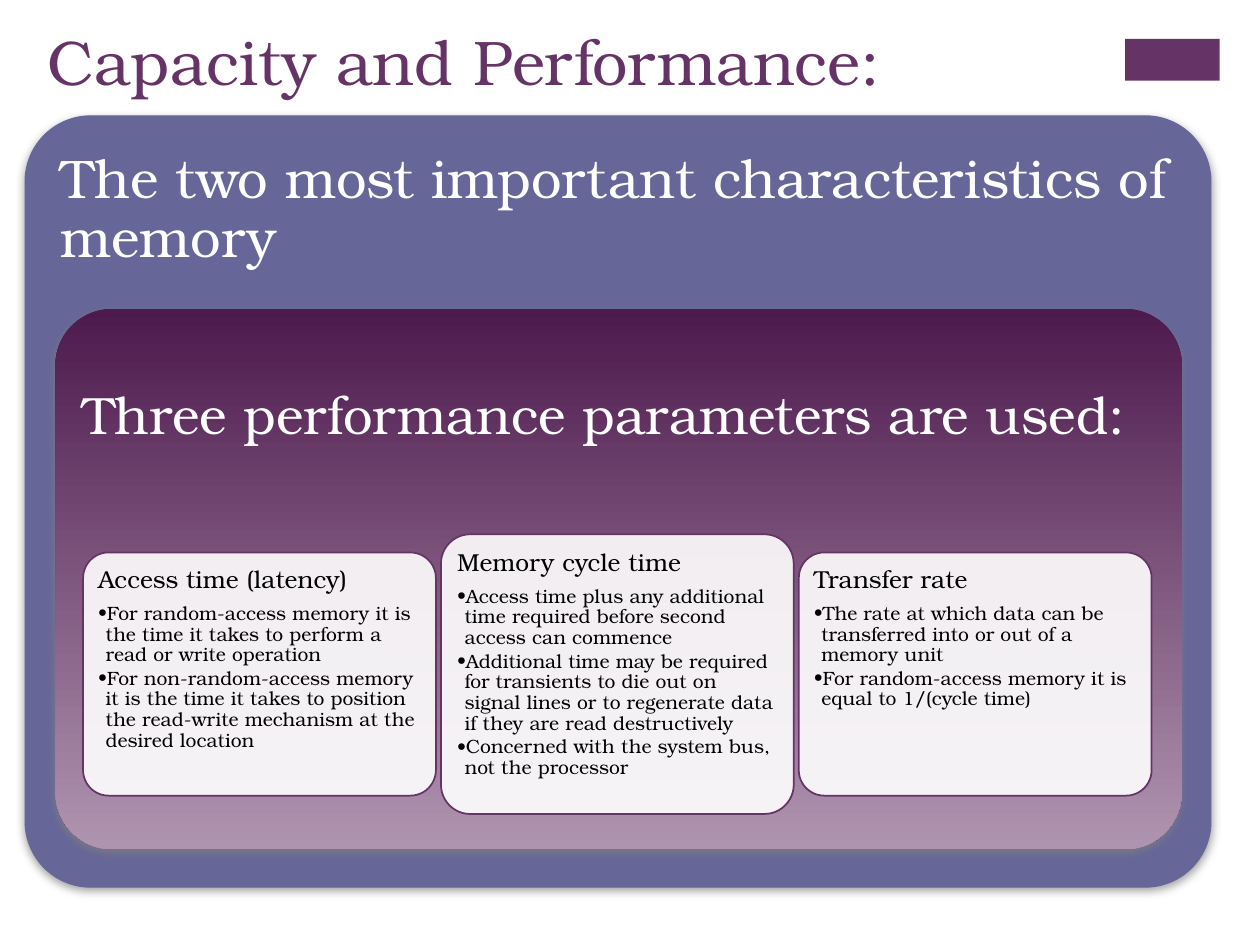
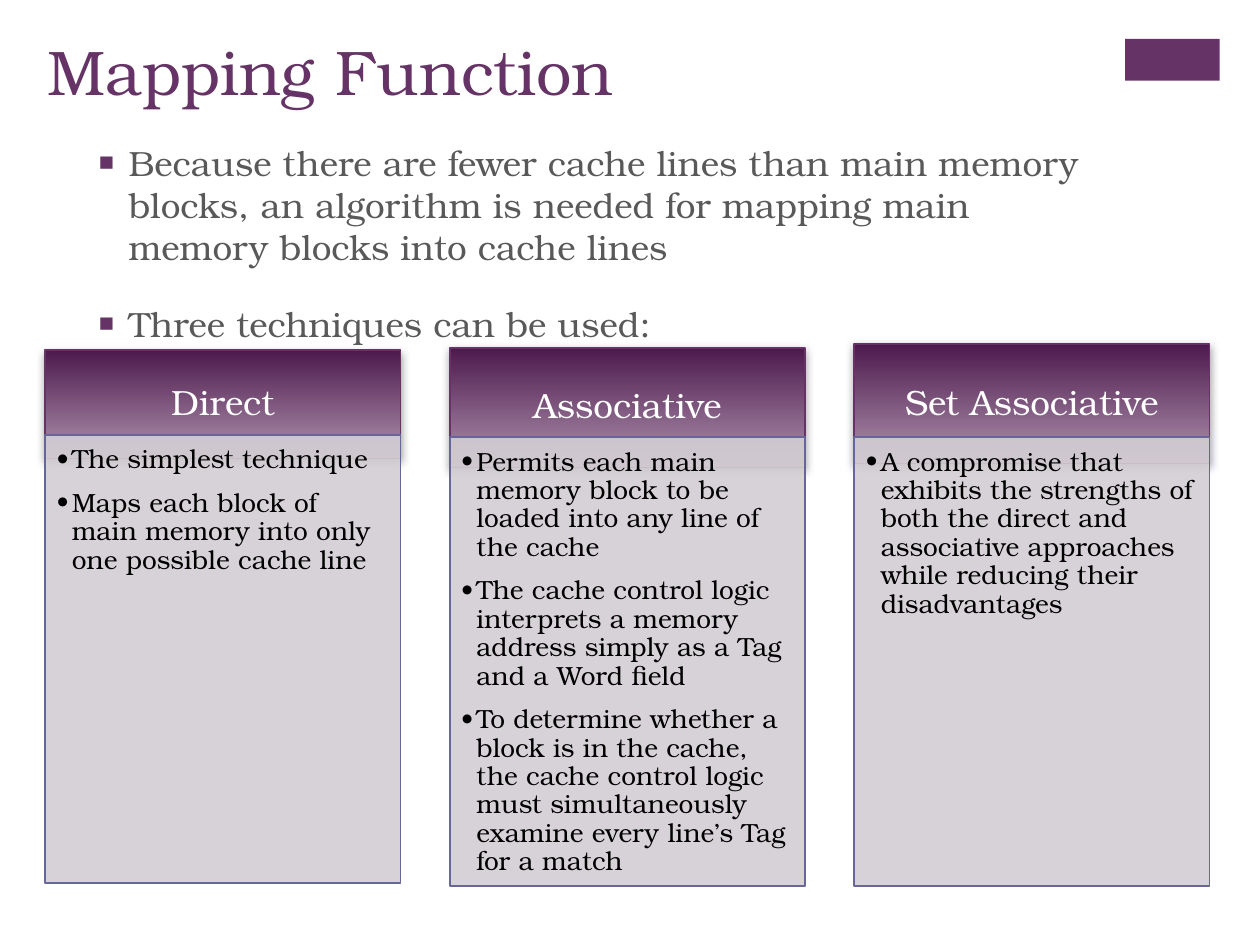
import dataclasses
import pptx
import pptx.dml.color
import pptx.enum.shapes
import pptx.enum.text
import pptx.oxml
import pptx.oxml.ns
import pptx.util

Inches = pptx.util.Inches
Pt = pptx.util.Pt
qn = pptx.oxml.ns.qn
Shape = pptx.enum.shapes.MSO_SHAPE
Anchor = pptx.enum.text.MSO_ANCHOR
Align = pptx.enum.text.PP_ALIGN


@dataclasses.dataclass(frozen=True)
class Theme:
    font: str = "TeX Gyre Bonum"
    plum: str = "663366"
    dark_plum: str = "4D1A4D"
    pale_plum: str = "AF94AF"
    slate: str = "666699"
    panel: str = "D3CED3"
    white: str = "FFFFFF"
    black: str = "000000"
    gray: str = "595959"
    shadow: str = "808080"
    title_size: float = 36
    frame_size: float = 31
    inner_size: float = 30
    large_size: float = 20
    panel_size: float = 15
    heading_size: float = 14
    card_size: float = 11


THEME = Theme()


def color(code):
    return pptx.dml.color.RGBColor.from_string(code)


def drawing_element(tag, **attributes):
    element = pptx.oxml.parse_xml(f"<a:{tag} {pptx.oxml.ns.nsdecls('a')}/>")
    for name, value in attributes.items():
        element.set(name, str(value))
    return element


def write_text(frame, text, *, size, ink, align=Align.LEFT, line=0.9, before=0, after=0,
               bullet=None, indent=0, bullet_ink=None, bullet_percent=100):
    para = frame.paragraphs[0]
    if para.runs:
        para = frame.add_paragraph()
        para.space_before = Pt(before)
    else:
        para.space_before = Pt(0)
    if bullet:
        properties = para._p.get_or_add_pPr()
        properties.set("marL", str(Inches(indent)))
        properties.set("indent", str(-Inches(indent)))
        bullet_color = drawing_element("buClr")
        bullet_color.append(drawing_element("srgbClr", val=bullet_ink or ink))
        properties.append(bullet_color)
        properties.append(drawing_element("buSzPct", val=bullet_percent * 1000))
        properties.append(drawing_element("buFont", typeface=THEME.font))
        properties.append(drawing_element("buChar", char=bullet))
    para.alignment = align
    para.line_spacing = line
    para.space_after = Pt(after)
    span = para.add_run()
    span.text = text
    span.font.name = THEME.font
    span.font.size = Pt(size)
    span.font.color.rgb = color(ink)


class SlideBuilder:
    def __init__(self, deck, theme):
        self.deck = deck
        self.theme = theme
        self.page = None

    def start(self, layout, title, top, height):
        self.page = self.deck.slides.add_slide(self.deck.slide_layouts[layout])
        frame = self.place(self.page.shapes.title, 0.28, top, 8.26, height)
        write_text(frame, title, size=self.theme.title_size, ink=self.theme.plum, line=1.0)
        self.block(8.93, 0.31, 0.75, 0.33, fill=self.theme.plum)

    def place(self, holder, left, top, width, height):
        holder.left, holder.top = Inches(left), Inches(top)
        holder.width, holder.height = Inches(width), Inches(height)
        frame = holder.text_frame
        frame.auto_size = pptx.enum.text.MSO_AUTO_SIZE.NONE
        frame.vertical_anchor = Anchor.TOP
        return frame

    def body(self, items, left, top, width, height):
        frame = self.place(self.page.placeholders[1], left, top, width, height)
        for item in items:
            write_text(frame, item, size=self.theme.large_size, ink=self.theme.gray, line=1.0,
                       before=20, bullet="■", indent=0.25,
                       bullet_ink=self.theme.plum, bullet_percent=75)

    def block(self, left, top, width, height, *, fill=None, corner=None, outline=None,
              outline_width=1, opacity=100, shadow=False, insets=(0, 0, 0, 0),
              anchor=Anchor.TOP):
        kind = Shape.RECTANGLE if corner is None else Shape.ROUNDED_RECTANGLE
        box = self.page.shapes.add_shape(
            kind, Inches(left), Inches(top), Inches(width), Inches(height))
        if corner is not None:
            box.adjustments[0] = corner
        self.paint(box, fill, opacity)
        if outline:
            box.line.color.rgb = color(outline)
            box.line.width = Pt(outline_width)
        else:
            box.line.fill.background()
        box.shadow.inherit = False
        if shadow:
            self.cast_shadow(box)
        frame = box.text_frame
        frame.word_wrap = True
        frame.vertical_anchor = anchor
        (frame.margin_left, frame.margin_top,
         frame.margin_right, frame.margin_bottom) = map(Inches, insets)
        return frame

    def paint(self, box, fill, opacity):
        if fill is None:
            box.fill.gradient()
            box.fill.gradient_angle = 270
            shades = (self.theme.dark_plum, self.theme.pale_plum)
            for stop, shade in zip(box.fill.gradient_stops, shades):
                stop.color.rgb = color(shade)
            return
        box.fill.solid()
        box.fill.fore_color.rgb = color(fill)
        if opacity < 100:
            solid = box._element.spPr.find(qn("a:solidFill"))
            solid[0].append(drawing_element("alpha", val=opacity * 1000))

    def cast_shadow(self, box):
        cast = drawing_element("outerShdw", blurRad=Pt(5), dist=Pt(2), dir=90 * 60000,
                               rotWithShape=0)
        tint = drawing_element("srgbClr", val=self.theme.shadow)
        tint.append(drawing_element("alpha", val=75000))
        cast.append(tint)
        box._element.spPr.find(qn("a:effectLst")).append(cast)

    def card(self, left, middle, width, height, heading, items):
        frame = self.block(left, middle - height / 2, width, height, corner=0.105,
                           fill=self.theme.white, opacity=90, outline=self.theme.plum,
                           insets=(0.06,) * 4)
        write_text(frame, heading, size=self.theme.heading_size, ink=self.theme.black, after=5.5)
        for item in items:
            write_text(frame, item, size=self.theme.card_size, ink=self.theme.black,
                       after=1.5, bullet="•", indent=0.06)

    def column(self, left, width, header_top, header_height, panel_top, heading, items):
        header = self.block(left, header_top, width, header_height, outline=self.theme.plum,
                            shadow=True, insets=(0.16, 0.09, 0.16, 0.09), anchor=Anchor.MIDDLE)
        write_text(header, heading, size=self.theme.large_size, ink=self.theme.white,
                   align=Align.CENTER)
        panel = self.block(left, panel_top, width, 3.56, fill=self.theme.panel, opacity=90,
                           outline=self.theme.slate, insets=(0.09, 0.09, 0.12, 0.13))
        for item in items:
            write_text(panel, item, size=self.theme.panel_size, ink=self.theme.black,
                       after=8.7, bullet="•", indent=0.12)


def build_performance(builder):
    theme = builder.theme
    builder.start(5, "Capacity and Performance:", 0.13, 1.22)
    outer = builder.block(0.2, 0.92, 9.41, 6.12, corner=0.085, fill=theme.slate,
                          outline=theme.slate, outline_width=0.75, shadow=True,
                          insets=(0.13,) * 4)
    write_text(outer, "The two most important characteristics of memory",
               size=theme.frame_size, ink=theme.white)
    inner = builder.block(0.44, 2.45, 8.94, 4.29, corner=0.105, shadow=True,
                          insets=(0.08, 0.51, 0.08, 0.08))
    write_text(inner, "Three performance parameters are used:",
               size=theme.inner_size, ink=theme.white)
    cards = [
        (1.93, "Access time (latency)", [
            "For random-access memory it is the time it takes to perform a read or write operation",
            "For non-random-access memory it is the time it takes to position the read-write "
            "mechanism at the desired location"]),
        (2.22, "Memory cycle time", [
            "Access time plus any additional time required before second access can commence",
            "Additional time may be required for transients to die out on signal lines or to "
            "regenerate data if they are read destructively",
            "Concerned with the system bus, not the processor"]),
        (1.93, "Transfer rate", [
            "The rate at which data can be transferred into or out of a memory unit",
            "For random-access memory it is equal to 1/(cycle time)"]),
    ]
    for index, (height, heading, items) in enumerate(cards):
        builder.card(0.66 + 2.84 * index, 5.35, 2.8, height, heading, items)


def build_mapping(builder):
    builder.start(1, "Mapping Function", 0.21, 1.05)
    builder.body([
        "Because there are fewer cache lines than main memory blocks, an algorithm is needed "
        "for mapping main memory blocks into cache lines",
        "Three techniques can be used:"], 0.67, 1.07, 8.26, 2.08)
    columns = [
        (2.78, 0.86, 3.45, "Direct", [
            "The simplest technique",
            "Maps each block of main memory into only one possible cache line"]),
        (2.76, 0.95, 3.47, "Associative", [
            "Permits each main memory block to be loaded into any line of the cache",
            "The cache control logic interprets a memory address simply as a Tag and a Word field",
            "To determine whether a block is in the cache, the cache control logic must "
            "simultaneously examine every line’s Tag for a match"]),
        (2.73, 0.95, 3.47, "Set Associative", [
            "A compromise that exhibits the strengths of both the direct and associative "
            "approaches while reducing their disadvantages"]),
    ]
    for index, column in enumerate(columns):
        builder.column(0.36 + 3.21 * index, 2.82, *column)


def main():
    deck = pptx.Presentation()
    deck.slide_width, deck.slide_height = Inches(10), Inches(7.5)
    builder = SlideBuilder(deck, THEME)
    build_performance(builder)
    build_mapping(builder)
    deck.save("out.pptx")


if __name__ == "__main__":
    main()
